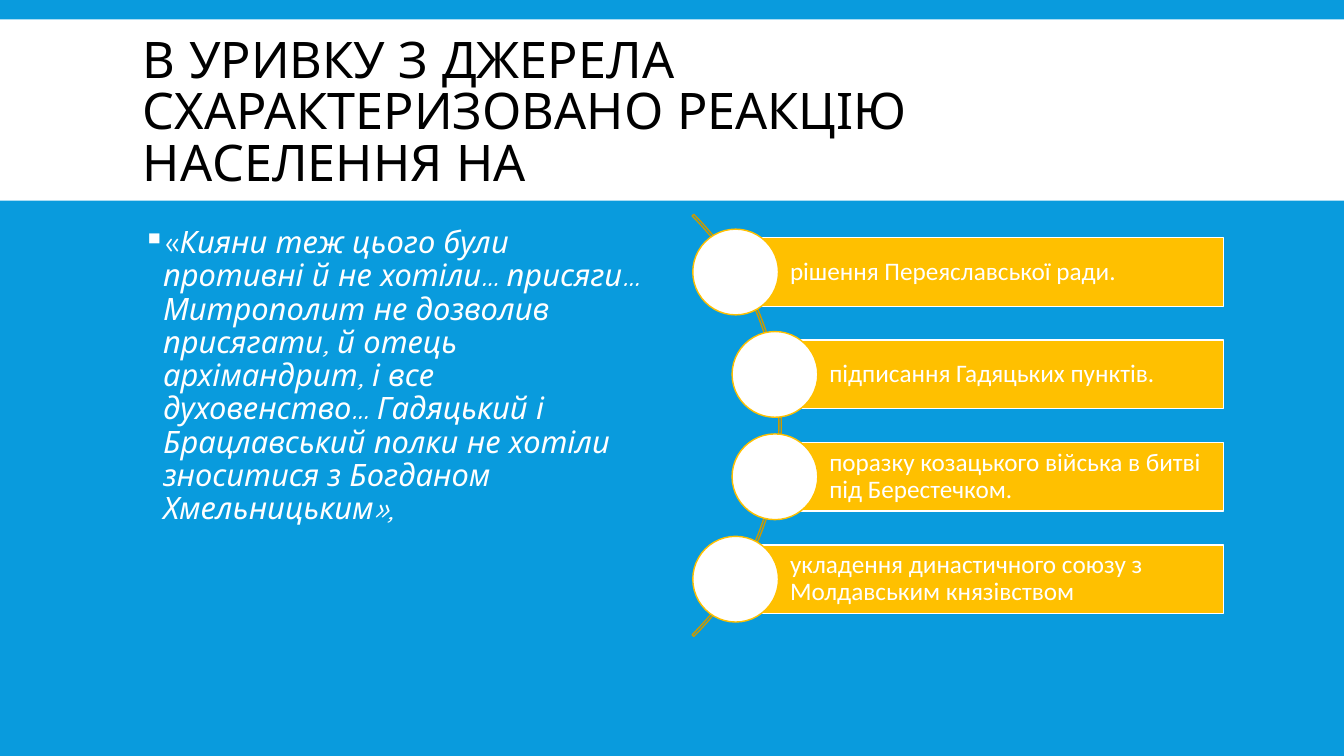
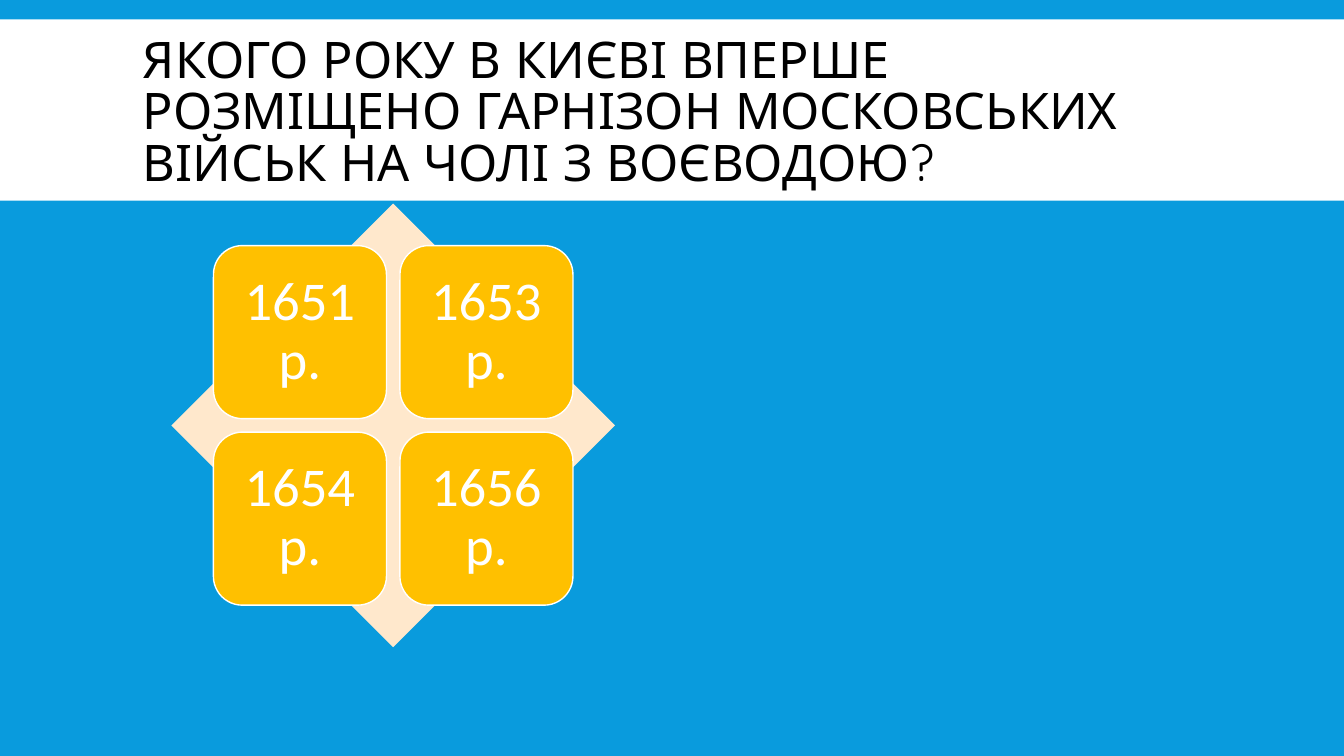
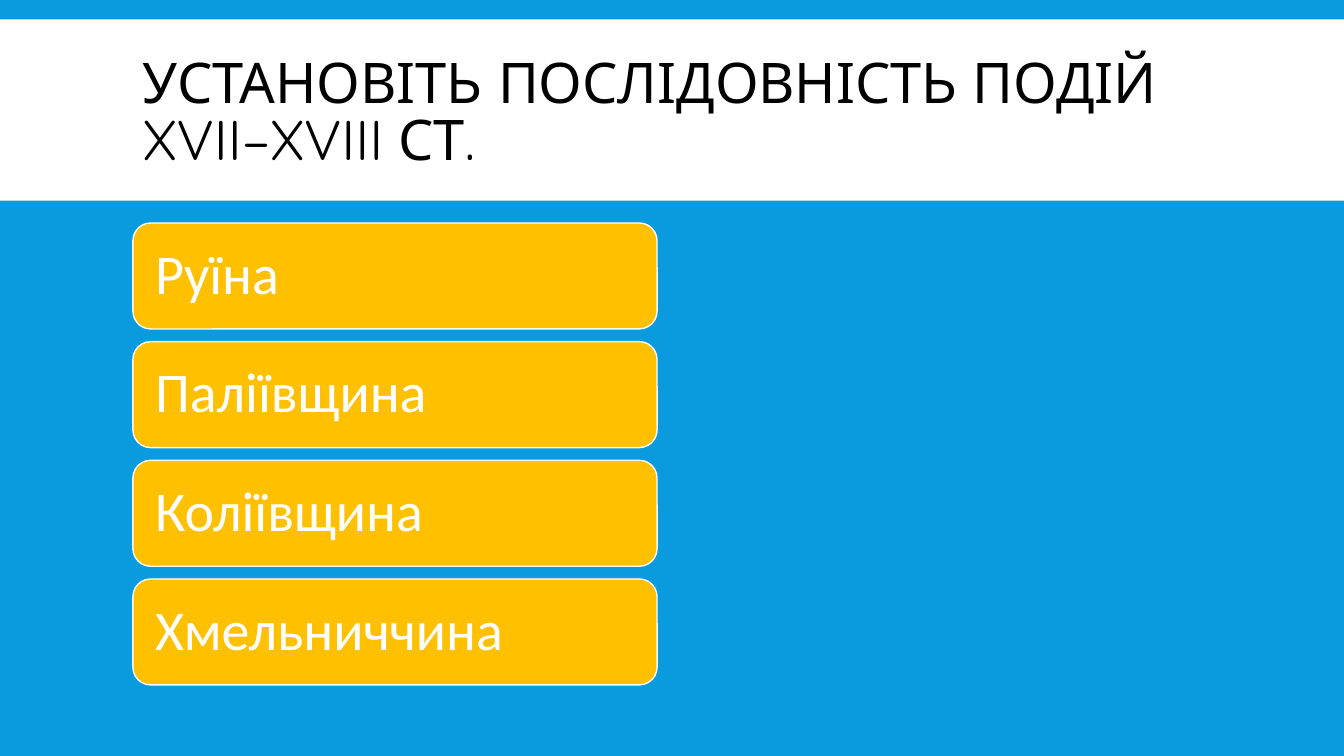
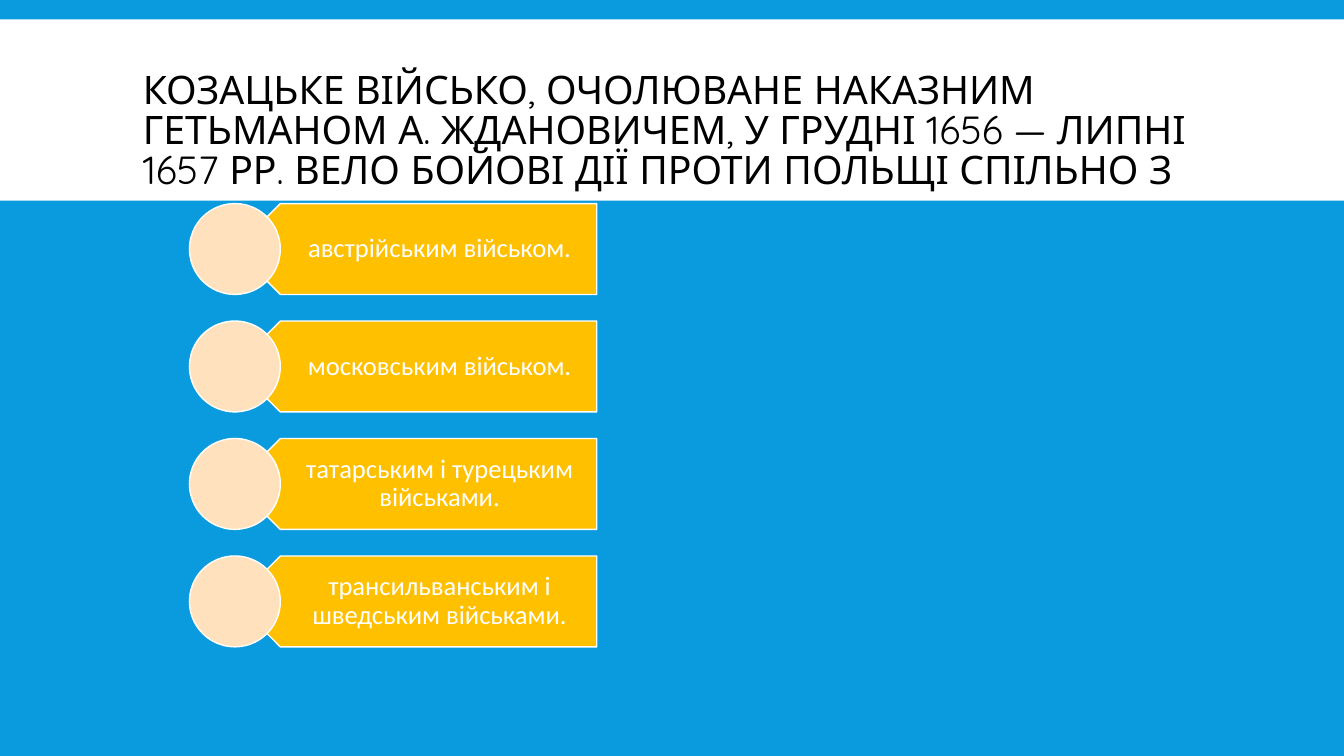
from lxml import etree
from pptx import Presentation
from pptx.dml.color import RGBColor
from pptx.enum.shapes import MSO_SHAPE
from pptx.enum.text import MSO_ANCHOR, PP_ALIGN
from pptx.oxml.ns import qn
from pptx.util import Cm, Pt

RECT, ROUNDED, OVAL = MSO_SHAPE.RECTANGLE, MSO_SHAPE.ROUNDED_RECTANGLE, MSO_SHAPE.OVAL
DIAMOND, ARC, PLATE = MSO_SHAPE.DIAMOND, MSO_SHAPE.BLOCK_ARC, MSO_SHAPE.PENTAGON
TOP, MIDDLE, BOTTOM = MSO_ANCHOR.TOP, MSO_ANCHOR.MIDDLE, MSO_ANCHOR.BOTTOM
LEFT, CENTER = PP_ALIGN.LEFT, PP_ALIGN.CENTER

COLORS = {
    "blue": "099BDD",
    "white": "FFFFFF",
    "black": "000000",
    "gold": "FFC000",
    "dark gold": "CC9A00",
    "cream": "FFE8CC",
    "peach": "FFE2BD",
}
TITLE_FONT, LABEL_FONT = "Quicksand", "Calibri"
SLIDE_WIDTH = 33.87
MARGIN = 3.35
TITLE_INSETS = (0.25, 0.13, 0.25, 0.13)


def draw(slide, kind, left, top, width, height, fill=None, line=None):
    shape = slide.shapes.add_shape(kind, Cm(left), Cm(top), Cm(width), Cm(height))
    shape.shadow.inherit = False
    if fill:
        shape.fill.solid()
        shape.fill.fore_color.rgb = RGBColor.from_string(COLORS[fill])
    else:
        shape.fill.background()
    if line:
        shape.line.color.rgb = RGBColor.from_string(COLORS[line])
        shape.line.width = Pt(1)
    else:
        shape.line.fill.background()
    return shape


def write(shape, texts, size, insets, font=LABEL_FONT, color="white",
          align=LEFT, anchor=MIDDLE, spacing=0.9):
    """Fill the shape with one paragraph, a run for each text, and return it."""
    frame = shape.text_frame
    frame.word_wrap = True
    frame.vertical_anchor = anchor
    frame.margin_left, frame.margin_top, frame.margin_right, frame.margin_bottom = map(Cm, insets)
    paragraph = frame.paragraphs[0]
    paragraph.alignment = align
    paragraph.line_spacing = spacing
    for text in texts:
        paragraph.add_run().text = text
    paragraph.font.name = font
    paragraph.font.size = Pt(size)
    paragraph.font.color.rgb = RGBColor.from_string(COLORS[color])
    return paragraph


prs = Presentation()
prs.slide_width, prs.slide_height = Cm(SLIDE_WIDTH), Cm(19.05)
background = prs.slide_master.background.fill
background.solid()
background.fore_color.rgb = RGBColor.from_string(COLORS["blue"])

# Title bands
titles = [
    ("В УРИВКУ З ДЖЕРЕЛА СХАРАКТЕРИЗОВАНО РЕАКЦІЮ НАСЕЛЕННЯ НА", 36, MIDDLE),
    ("ЯКОГО РОКУ В КИЄВІ ВПЕРШЕ РОЗМІЩЕНО ГАРНІЗОН МОСКОВСЬКИХ ВІЙСЬК НА ЧОЛІ З ВОЄВОДОЮ?", 36, MIDDLE),
    ("УСТАНОВІТЬ ПОСЛІДОВНІСТЬ ПОДІЙ XVII–XVIII СТ.", 40, MIDDLE),
    ("КОЗАЦЬКЕ ВІЙСЬКО, ОЧОЛЮВАНЕ НАКАЗНИМ ГЕТЬМАНОМ А. ЖДАНОВИЧЕМ, У ГРУДНІ 1656\u00a0— ЛИПНІ "
     "1657 РР. ВЕЛО БОЙОВІ ДІЇ ПРОТИ ПОЛЬЩІ СПІЛЬНО З", 28, BOTTOM),
]
slides = []
for title, size, anchor in titles:
    slide = prs.slides.add_slide(prs.slide_layouts[6])
    draw(slide, RECT, 0, 0.49, SLIDE_WIDTH, 4.57, "white")
    title_box = slide.shapes.add_textbox(Cm(MARGIN), Cm(0.79), Cm(27.18), Cm(4.19))
    write(title_box, [title], size, TITLE_INSETS, TITLE_FONT, "black", anchor=anchor, spacing=0.85)
    slides.append(slide)
reaction, garrison, sequence, allies = slides

# Reaction: quotation and answers along an arc
quote_box = reaction.shapes.add_textbox(Cm(MARGIN), Cm(5.59), Cm(13.2), Cm(11.68))
quote = write(quote_box, [
    "«",
    "Кияни теж цього були противні й не хотіли… присяги… Митрополит не дозволив присягати, "
    "й отець архімандрит, і все духовенство… Гадяцький і Брацлавський полки не хотіли "
    "зноситися з Богданом Хмельницьким»,",
], 22, TITLE_INSETS, TITLE_FONT, anchor=TOP)
quote.runs[1].font.italic = True
properties = quote._p.get_or_add_pPr()
properties.set("marL", str(Cm(0.51)))
properties.set("indent", str(-Cm(0.51)))
bullet = etree.Element(qn("a:buChar"), char="▪")
properties.find(qn("a:defRPr")).addprevious(bullet)

arc = draw(reaction, ARC, 4.65, 3.2, 15.04, 15.04, line="dark gold")
for index, value in enumerate((189, 27, 0.004)):
    arc.adjustments[index] = value

BAR_RIGHT, BAR_HEIGHT, DOT = 30.84, 1.73, 2.16
reactions = [
    (18.54, "рішення Переяславської ради."),
    (19.53, "підписання Гадяцьких пунктів."),
    (19.53, "поразку козацького війська в битві під Берестечком."),
    (18.54, "укладення династичного союзу з Молдавським князівством"),
]
for row, (left, answer) in enumerate(reactions):
    top = 5.99 + row * 2.58
    bar = draw(reaction, RECT, left, top, BAR_RIGHT - left, BAR_HEIGHT, "gold", "white")
    write(bar, [answer], 18, (1.37, 0.13, 0.13, 0.13))
    draw(reaction, OVAL, left - DOT / 2, top + (BAR_HEIGHT - DOT) / 2, DOT, DOT, "white", "gold")

# Garrison: four years over a diamond
draw(garrison, DIAMOND, 4.32, 5.13, 11.18, 11.18, "cream")
for index, year in enumerate(("1651 р.", "1653 р.", "1654 р.", "1656 р.")):
    row, column = divmod(index, 2)
    tile = draw(garrison, ROUNDED, 5.38 + column * 4.7, 6.19 + row * 4.7, 4.36, 4.36, "gold", "white")
    write(tile, [year], 39, [0.41] * 4, align=CENTER)

# Sequence: stacked events
for row, event in enumerate(("Руїна", "Паліївщина", "Коліївщина", "Хмельниччина")):
    card = draw(sequence, ROUNDED, MARGIN, 5.62 + row * 2.99, 13.21, 2.67, "gold", "white")
    write(card, [event], 40, [0.43] * 4)

# Allies: plates pointing at circles
PLATE_LEFT, PLATE_HEIGHT = 5.92, 2.29
armies = [
    "австрійським військом.",
    "московським військом.",
    "татарським і турецьким військами.",
    "трансильванським і шведським військами.",
]
for row, army in enumerate(armies):
    top = 5.13 + row * 2.96
    plate = draw(allies, PLATE, PLATE_LEFT, top, 9.12, PLATE_HEIGHT, "gold", "white")
    plate.rotation = 180
    label = allies.shapes.add_textbox(Cm(6.48), Cm(top), Cm(8.56), Cm(PLATE_HEIGHT))
    write(label, [army], 19, (1.02, 0.2, 0.38, 0.2), align=CENTER)
    draw(allies, OVAL, PLATE_LEFT - PLATE_HEIGHT / 2, top, PLATE_HEIGHT, PLATE_HEIGHT, "peach", "white")

prs.save("out.pptx")
